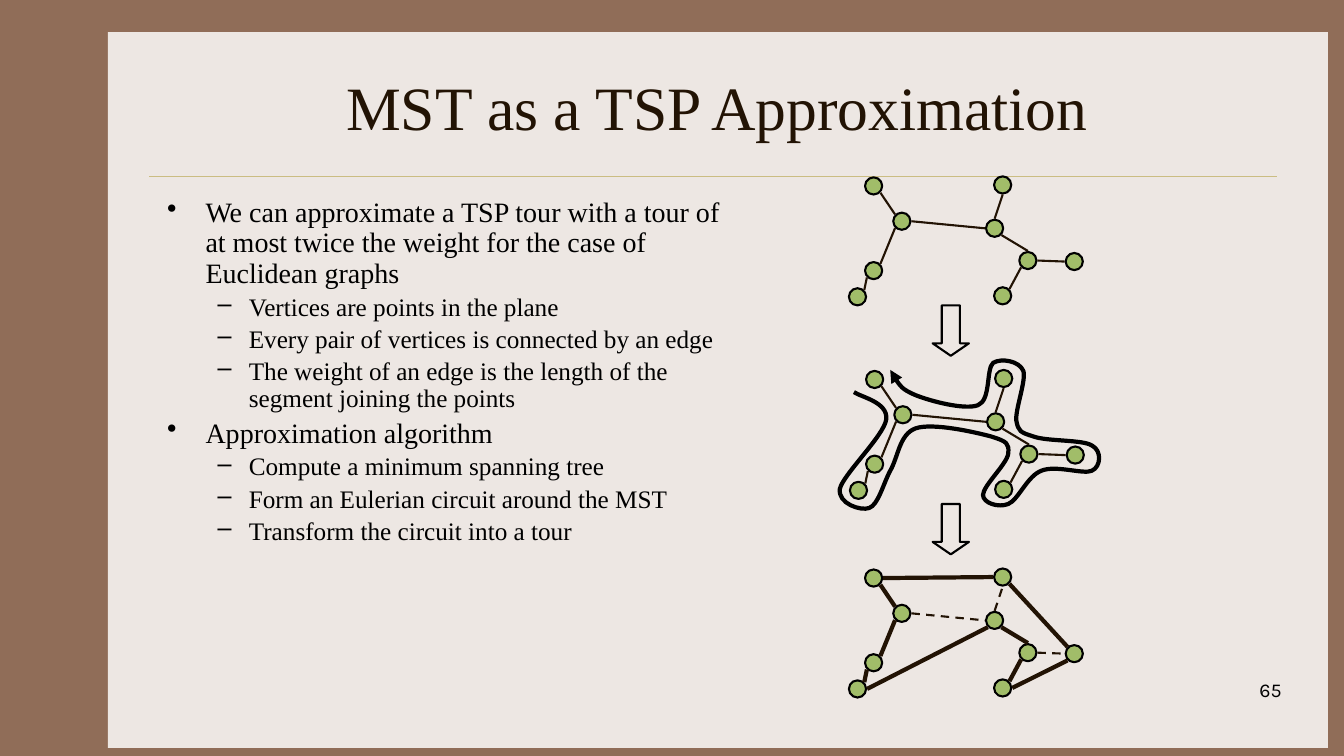
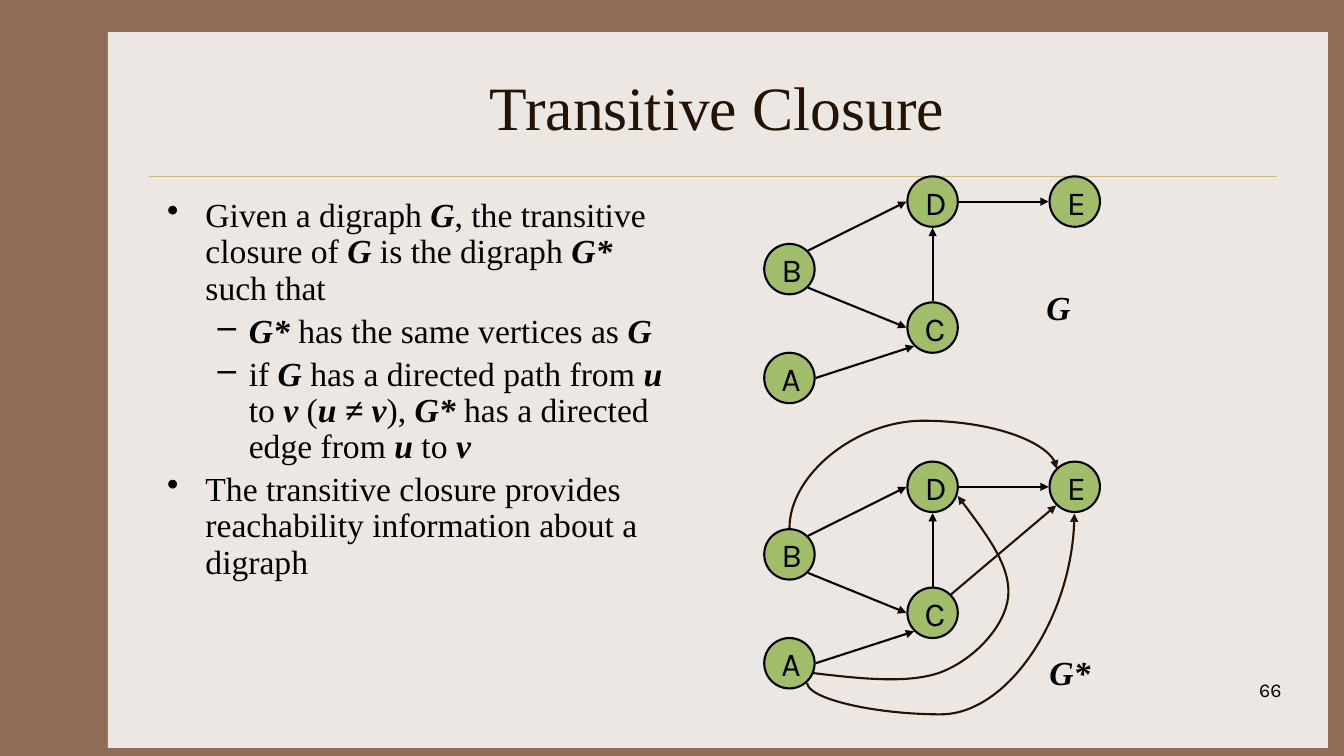
import math

from lxml import etree
from pptx import Presentation
from pptx.dml.color import RGBColor
from pptx.enum import dml, shapes, text
from pptx.oxml import ns
from pptx.util import Inches, Pt

BROWN = RGBColor(0x90, 0x6D, 0x58)
CREAM = RGBColor(0xED, 0xE7, 0xE3)
SAND = RGBColor(0xCB, 0xBD, 0x83)
ESPRESSO = RGBColor(0x22, 0x13, 0x04)
GREEN = RGBColor(0xA1, 0xBD, 0x69)
BLACK = RGBColor(0, 0, 0)
SERIF, SANS = "Times New Roman", "Karla"
ALIGN = text.PP_ALIGN


def write(paragraph, words, size, face=SERIF, color=BLACK, align=ALIGN.LEFT):
    """Fill a paragraph; words between underscores are bold italic."""
    paragraph.alignment = align
    for i, part in enumerate(words.split("_")):
        if part:
            run = paragraph.add_run()
            run.text = part
            run.font.color.rgb = color
            emphasis = i % 2 == 1
            look = {"name": face, "size": Pt(size), "bold": emphasis, "italic": emphasis}
            for key, value in look.items():
                setattr(run.font, key, value)


def stroke(shape, color, width, dashed=False, arrow=None):
    """Style an outline; arrow is headEnd, tailEnd or None."""
    shape.line.color.rgb = color
    shape.line.width = Pt(width)
    if dashed:
        shape.line.dash_style = dml.MSO_LINE.DASH
    properties = shape.element.spPr
    if arrow:
        outline = properties.find(ns.qn("a:ln"))
        etree.SubElement(outline, ns.qn("a:" + arrow), type="triangle")
    if properties.find(ns.qn("a:effectLst")) is None:
        etree.SubElement(properties, ns.qn("a:effectLst"))


prs = Presentation()
prs.slide_width, prs.slide_height = Inches(13.33), Inches(7.5)

# Wording: title, page number, body width, body lines (level, size, words)
pages = [
    ("MST as a TSP Approximation", "65", 5.79, [
        (0, 20, "We can approximate a TSP tour with a tour of at most twice "
                "the weight for the case of Euclidean graphs"),
        (1, 18, "Vertices are points in the plane"),
        (1, 18, "Every pair of vertices is connected by an edge"),
        (1, 18, "The weight of an edge is the length of the segment joining the points"),
        (0, 20, "Approximation algorithm"),
        (1, 18, "Compute a minimum spanning tree"),
        (1, 18, "Form an Eulerian circuit around the MST"),
        (1, 18, "Transform the circuit into a tour"),
    ]),
    ("Transitive Closure", "66", 5.16, [
        (0, 24, "Given a digraph _G_, the transitive closure of _G_ is the "
                "digraph _G*_ such that"),
        (1, 24, "_G*_ has the same vertices as _G_"),
        (1, 24, "if _G_ has a directed path from _u_ to _v _(_u ≠ v_), _G*_ has "
                "a directed edge from _u_ to _v_"),
        (0, 24, "The transitive closure provides reachability information about a digraph"),
    ]),
]
bullets = [("•", 0.38, -0.38), ("–", 0.81, -0.31)]

# Shared frame, title, body and page number
for title, number, body_width, lines in pages:
    slide = prs.slides.add_slide(prs.slide_layouts[6])
    slide.background.fill.solid()
    slide.background.fill.fore_color.rgb = BROWN
    panel = slide.shapes.add_shape(shapes.MSO_SHAPE.RECTANGLE, Inches(1.07),
                                   Inches(0.32), Inches(12.1), Inches(7.1))
    panel.shadow.inherit = False
    panel.fill.solid()
    panel.fill.fore_color.rgb = CREAM
    panel.line.fill.background()
    rule = slide.shapes.add_connector(shapes.MSO_CONNECTOR.STRAIGHT, Inches(1.48),
                                      Inches(1.75), Inches(12.67), Inches(1.75))
    stroke(rule, SAND, 0.25)

    heading = slide.shapes.add_textbox(Inches(1.56), Inches(0.42),
                                       Inches(11.11), Inches(1.25)).text_frame
    heading.word_wrap = True
    heading.vertical_anchor = text.MSO_ANCHOR.MIDDLE
    write(heading.paragraphs[0], title, 44, color=ESPRESSO, align=ALIGN.CENTER)

    body = slide.shapes.add_textbox(Inches(1.56), Inches(1.92),
                                    Inches(body_width), Inches(4.5)).text_frame
    body.word_wrap = True
    for i, (level, size, words) in enumerate(lines):
        item = body.add_paragraph() if i else body.paragraphs[0]
        write(item, words, size)
        layout = {"level": level, "line_spacing": 0.9, "space_before": Pt(size * 0.2)}
        for key, value in layout.items():
            setattr(item, key, value)
        mark, margin, indent = bullets[level]
        format_xml = item._p.get_or_add_pPr()
        format_xml.set("marL", str(Inches(margin)))
        format_xml.set("indent", str(Inches(indent)))
        etree.SubElement(format_xml, ns.qn("a:buChar"), char=mark)

    page = slide.shapes.add_textbox(Inches(10.03), Inches(6.68),
                                    Inches(2.78), Inches(0.5)).text_frame
    page.word_wrap = True
    write(page.paragraphs[0], number, 14, SANS, align=ALIGN.RIGHT)

tsp, closure = prs.slides

# Freehand curves: start point, then three points for each Bézier piece
curves = [
    (tsp, BLACK, 3, "headEnd", [
        (8.83, 3.67), (8.88, 3.77), (8.94, 3.86), (9.08, 3.92),
        (9.23, 3.98), (9.57, 4.07), (9.7, 4.02), (9.83, 3.97), (9.78, 3.66), (9.85, 3.6),
        (9.93, 3.55), (10.11, 3.58), (10.15, 3.68), (10.18, 3.77), (10.07, 4.06), (10.08, 4.17),
        (10.1, 4.28), (10.12, 4.29), (10.25, 4.33), (10.38, 4.38), (10.74, 4.36), (10.83, 4.42),
        (10.93, 4.47), (10.92, 4.63), (10.83, 4.67), (10.75, 4.71), (10.47, 4.61), (10.33, 4.67),
        (10.19, 4.72), (10.1, 4.96), (10, 5), (9.9, 5.04), (9.75, 4.99), (9.75, 4.91),
        (9.75, 4.82), (9.99, 4.6), (10, 4.5), (10.01, 4.4), (9.99, 4.38), (9.83, 4.33),
        (9.68, 4.29), (9.25, 4.19), (9.08, 4.25), (8.92, 4.31), (8.91, 4.53), (8.83, 4.67),
        (8.76, 4.8), (8.71, 5.01), (8.62, 5.04), (8.54, 5.07), (8.31, 5), (8.33, 4.85),
        (8.36, 4.71), (8.77, 4.32), (8.79, 4.16), (8.81, 3.99), (8.54, 3.94), (8.47, 3.89)]),
    (closure, ESPRESSO, 1.5, "tailEnd", [
        (8, 6.67), (8.5, 6.73), (9, 6.79), (9.33, 6.67),
        (9.67, 6.54), (9.97, 6.21), (10, 5.92), (10.03, 5.62), (9.76, 5.27), (9.5, 4.92)]),
]
for slide, color, width, arrow, points in curves:
    start, *rest = [(Inches(x), Inches(y)) for x, y in points]
    builder = slide.shapes.build_freeform(*start)
    builder.add_line_segments(rest, close=False)
    curve = builder.convert_to_shape()
    curve.shadow.inherit = False
    curve.fill.background()
    stroke(curve, color, width, arrow=arrow)
    # Every three straight segments become one Bézier piece
    segments = list(curve.element.iter(ns.qn("a:lnTo")))
    for i in range(0, len(segments), 3):
        piece = etree.Element(ns.qn("a:cubicBezTo"))
        segments[i].addprevious(piece)
        for segment in segments[i:i + 3]:
            piece.append(segment[0])
            segment.getparent().remove(segment)

# Graphs: vertices by top left corner, edges by vertex and compass side
tree = {"a": (8.58, 1.76), "b": (8.86, 2.11), "c": (8.58, 2.6), "d": (8.42, 2.86),
        "e": (9.78, 2.18), "f": (9.86, 1.75), "g": (9.86, 2.85), "h": (10.11, 2.5),
        "i": (10.57, 2.51)}
digraph = {"B": (7.58, 2.42), "A": (7.58, 3.5), "D": (9, 1.75), "C": (9, 3),
           "E": (10.41, 1.75)}
kept = ["aSE bNW", "cNE bSW", "hN eSE", "dNE cSW", "gNE hSW"]
dropped = ["bE eW", "eN fS", "hE iW"]
added = ["dE eSW", "gE iSW", "iNW fSE", "aE fW"]
arcs = ["BNE DW", "BSE CW", "DE EW", "CN DS", "AE CSW"]
thin = {"color": ESPRESSO, "width": 1.5}
thick = {"color": ESPRESSO, "width": 3}
dash = {**thin, "dashed": True}
directed = {"color": BLACK, "width": 1.5, "arrow": "tailEnd"}
implied = {**directed, "color": ESPRESSO}
graphs = [
    (tsp, tree, 0.17, 0, 0, [(kept + dropped, thin)]),
    (tsp, tree, 0.17, 0.01, 1.92, [(kept + dropped, thin)]),
    (tsp, tree, 0.17, 0, 3.89, [(dropped, dash), (kept + added, thick)]),
    (closure, digraph, 0.5, 0, 0, [(arcs, directed)]),
    (closure, digraph, 0.5, 0, 2.83, [(arcs, directed), (["CNE ESW"], implied)]),
]
compass = {side: math.radians(45 * i)
           for i, side in enumerate(["E", "SE", "S", "SW", "W", "NW", "N", "NE"])}
for slide, vertices, diameter, dx, dy, edge_groups in graphs:
    for label, (x, y) in vertices.items():
        vertex = slide.shapes.add_shape(shapes.MSO_SHAPE.OVAL, Inches(x + dx), Inches(y + dy),
                                        Inches(diameter), Inches(diameter))
        vertex.shadow.inherit = False
        vertex.fill.solid()
        vertex.fill.fore_color.rgb = GREEN
        stroke(vertex, BLACK, 1.5)
        if vertices is digraph:
            vertex.text_frame.word_wrap = False
            vertex.text_frame.vertical_anchor = text.MSO_ANCHOR.MIDDLE
            write(vertex.text_frame.paragraphs[0], label, 24, SANS)
    radius = diameter / 2
    reach = radius + 0.01
    for edges, style in edge_groups:
        for edge in edges:
            ends = []
            for end in edge.split():
                x, y = vertices[end[0]]
                angle = compass[end[1:]]
                ends += [Inches(x + dx + radius + reach * math.cos(angle)),
                         Inches(y + dy + radius + reach * math.sin(angle))]
            link = slide.shapes.add_connector(shapes.MSO_CONNECTOR.STRAIGHT, *ends)
            stroke(link, **style)

# Block arrows between the three stages
for top in (3.1, 5.07):
    step = tsp.shapes.add_shape(shapes.MSO_SHAPE.RIGHT_ARROW, Inches(9.18), Inches(top),
                                Inches(0.5), Inches(0.36))
    step.rotation = 90
    step.adjustments[1] = 0.343
    step.shadow.inherit = False
    step.fill.background()
    stroke(step, BLACK, 1.5)

# Curved edges into E: box before rotation, angle, flips, bend
bends = [
    (8.86, 3.62, 0.59, 2.65, 270, [], 1.807),
    (8.49, 4.61, 1.68, 2.65, 90, ["flipH", "flipV"], -0.186),
]
for left, top, width, height, angle, flips, bend in bends:
    sweep = closure.shapes.add_connector(shapes.MSO_CONNECTOR.CURVE, Inches(left), Inches(top),
                                         Inches(left + width), Inches(top + height))
    properties = sweep.element.spPr
    frame = properties.find(ns.qn("a:xfrm"))
    frame.set("rot", str(angle * 60000))
    for flip in flips:
        frame.set(flip, "1")
    guides = next(properties.iter(ns.qn("a:avLst")))
    etree.SubElement(guides, ns.qn("a:gd"), name="adj1", fmla=f"val {round(bend * 100000)}")
    stroke(sweep, **implied)

# Graph names
for name, left, top, width in [("_G_", 10.28, 2.8, 0.44), ("_G*_", 10.31, 6.42, 0.61)]:
    caption = closure.shapes.add_textbox(Inches(left), Inches(top),
                                         Inches(width), Inches(0.5)).text_frame
    caption.word_wrap = False
    caption.auto_size = text.MSO_AUTO_SIZE.SHAPE_TO_FIT_TEXT
    write(caption.paragraphs[0], name, 24)

prs.save("out.pptx")
